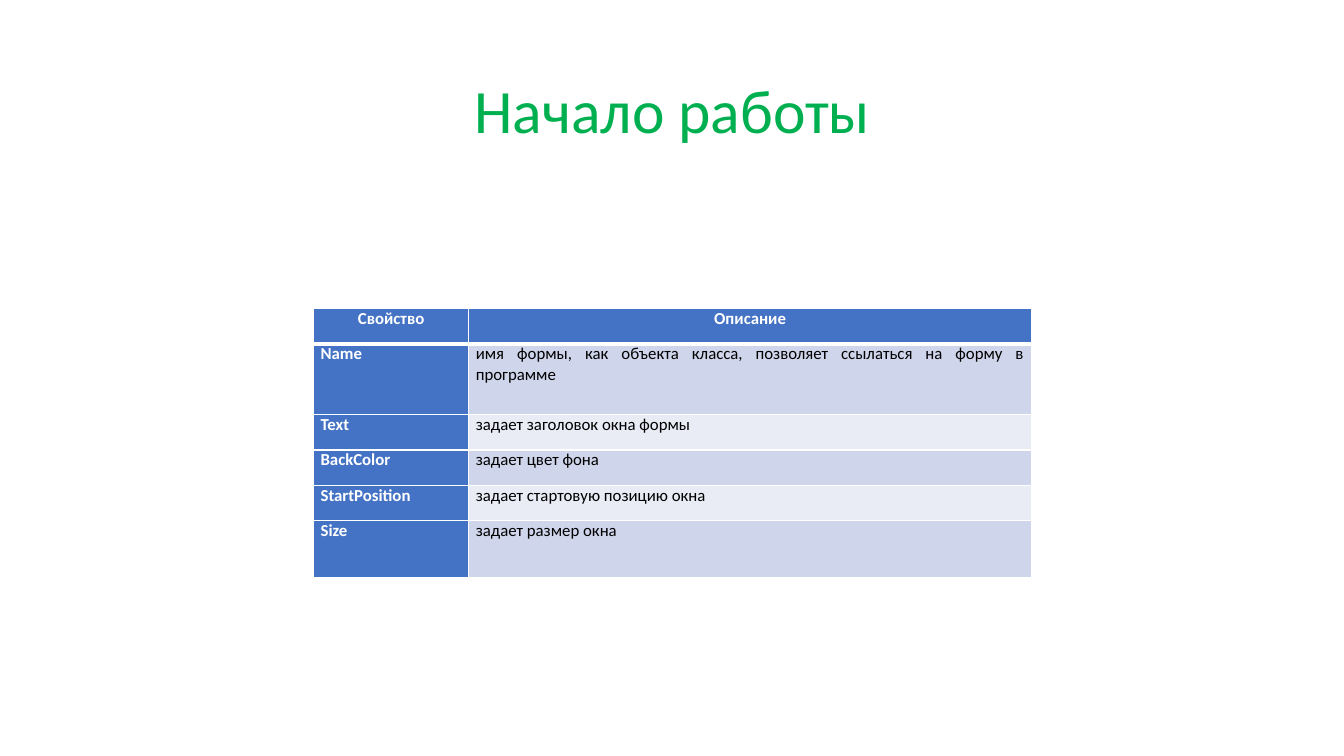
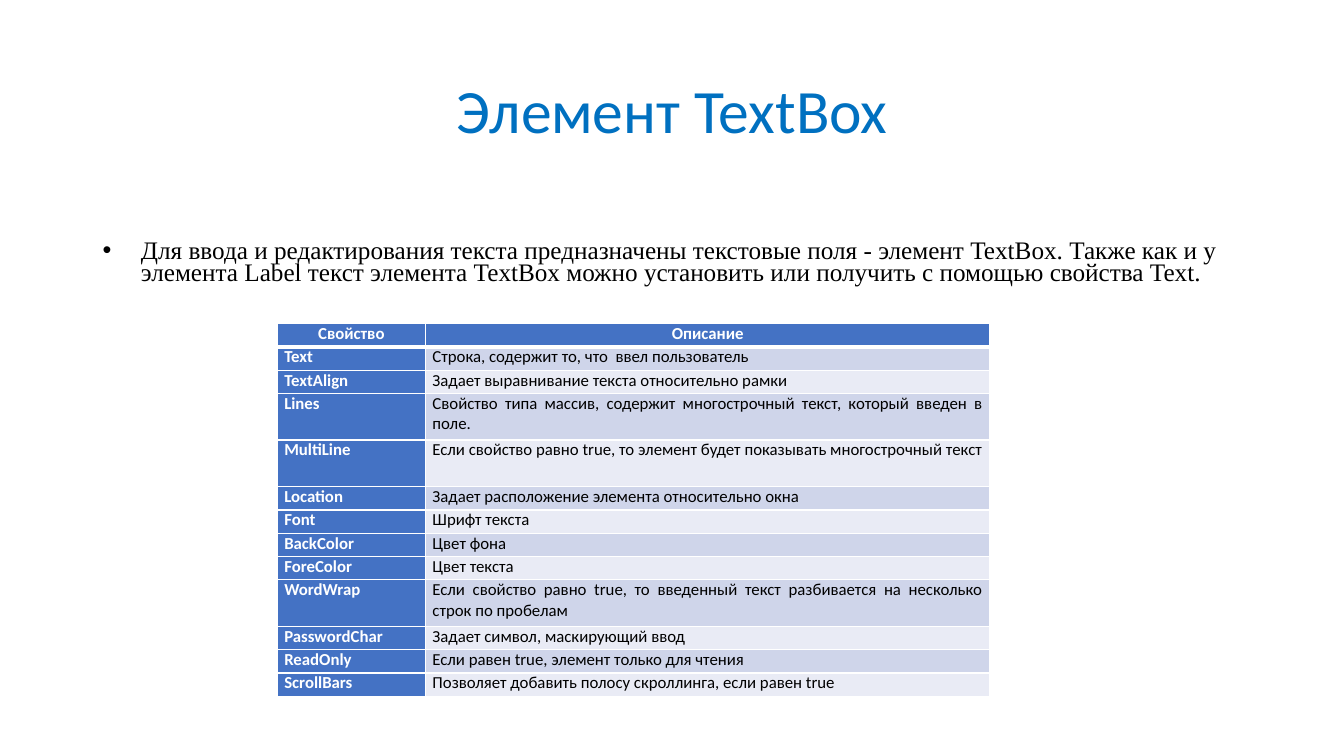
from dataclasses import dataclass

from lxml import etree
from pptx import Presentation
from pptx.dml.color import RGBColor
from pptx.enum import text
from pptx.oxml.ns import qn
from pptx.util import Inches, Pt


@dataclass(frozen=True)
class Theme:
    green: str = "00B050"
    blue: str = "0070C0"
    header: str = "4472C4"
    band_dark: str = "CFD5EA"
    band_light: str = "E9EBF5"
    white: str = "FFFFFF"
    black: str = "000000"
    font: str = "Calibri"
    body_font: str = "Times New Roman"
    title_size: int = 44
    body_size: int = 18
    table_size: int = 12


T = Theme()


def add_run(p, words, size, color, font=T.font, bold=False):
    r = p.add_run()
    r.text = words
    r.font.size = Pt(size)
    r.font.name = font
    r.font.bold = bold
    r.font.color.rgb = RGBColor.from_string(color)


def add_border(cell, side, width):
    ln = etree.SubElement(cell._tc.get_or_add_tcPr(), qn(f"a:ln{side}"), w=str(Pt(width)))
    fill = etree.SubElement(ln, qn("a:solidFill"))
    etree.SubElement(fill, qn("a:srgbClr"), val=T.white)


form_rows = [
    ("Свойство", "Описание", 1),
    ("Name", "имя формы, как объекта класса, позволяет ссылаться на форму в программе", 2),
    ("Text", "задает заголовок окна формы", 1),
    ("BackColor", "задает цвет фона", 1),
    ("StartPosition", "задает стартовую позицию окна", 1),
    ("Size", "задает размер окна", 1.6),
]
textbox_rows = [
    ("Свойство", "Описание", 1),
    ("Text", "Строка, содержит то, что  ввел пользователь", 1),
    ("TextAlign", "Задает выравнивание текста относительно рамки", 1),
    ("Lines", "Свойство типа массив, содержит многострочный текст, который введен в поле.", 2),
    ("MultiLine", "Если свойство равно true, то элемент будет показывать многострочный текст", 2),
    ("Location", "Задает расположение элемента относительно окна", 1),
    ("Font", "Шрифт текста", 1),
    ("BackColor", "Цвет фона", 1),
    ("ForeColor", "Цвет текста", 1),
    ("WordWrap", "Если свойство равно true, то введенный текст разбивается на несколько строк по пробелам", 2),
    ("PasswordChar", "Задает символ, маскирующий ввод", 1),
    ("ReadOnly", "Если равен true, элемент только для чтения", 1),
    ("ScrollBars", "Позволяет добавить полосу скроллинга, если равен true", 1),
]
textbox_intro = (
    "Для ввода и редактирования текста предназначены текстовые поля - элемент TextBox. "
    "Также как и у элемента Label текст элемента TextBox можно установить или получить "
    "с помощью свойства Text."
)
pages = [
    ("Начало работы", T.green, None, form_rows, (3.11, 3.06), (1.54, 5.58), 2.67),
    ("Элемент TextBox", T.blue, textbox_intro, textbox_rows, (2.75, 3.21), (1.47, 5.6), 3.7),
]

prs = Presentation()
prs.slide_width, prs.slide_height = Inches(13.33), Inches(7.5)

for heading, color, intro, rows, (left, top), widths, height in pages:
    s = prs.slides.add_slide(prs.slide_layouts[5])
    title = s.shapes.title
    title.left, title.top = Inches(0.92), Inches(0.4)
    title.width, title.height = Inches(11.5), Inches(1.45)
    tf = title.text_frame
    tf.vertical_anchor = text.MSO_ANCHOR.MIDDLE
    p = tf.paragraphs[0]
    p.alignment = text.PP_ALIGN.CENTER
    p.line_spacing = 0.9
    add_run(p, heading, T.title_size, color)

    if intro:
        sp = s.shapes.add_textbox(Inches(0.92), Inches(2.36), Inches(11.5), Inches(0.6))
        tf = sp.text_frame
        tf.word_wrap = True
        p = tf.paragraphs[0]
        p.line_spacing = Pt(15.6)
        pPr = p._p.get_or_add_pPr()
        pPr.set("marL", str(Inches(0.38)))
        pPr.set("indent", str(-Inches(0.38)))
        etree.SubElement(pPr, qn("a:buFont"), typeface="Arial")
        etree.SubElement(pPr, qn("a:buChar"), char="•")
        add_run(p, intro, T.body_size, T.black, T.body_font)

    table = s.shapes.add_table(
        len(rows), 2, Inches(left), Inches(top), Inches(sum(widths)), Inches(height)
    ).table
    for column, width in zip(table.columns, widths):
        column.width = Inches(width)
    unit = height / sum(row[2] for row in rows)

    for i, (*words, units) in enumerate(rows):
        table.rows[i].height = Inches(unit * units)
        for j, word in enumerate(words):
            cell = table.cell(i, j)
            strong = i == 0 or j == 0
            cell.margin_left = cell.margin_right = Inches(0.07)
            cell.margin_top = cell.margin_bottom = 0
            add_border(cell, "L", 1)
            add_border(cell, "R", 1)
            add_border(cell, "T", 3 if i == 1 else 1)
            add_border(cell, "B", 3 if i == 0 else 1)
            band = T.band_dark if i % 2 else T.band_light
            cell.fill.solid()
            cell.fill.fore_color.rgb = RGBColor.from_string(T.header if strong else band)
            p = cell.text_frame.paragraphs[0]
            p.alignment = text.PP_ALIGN.JUSTIFY if i else text.PP_ALIGN.CENTER
            add_run(p, word, T.table_size, T.white if strong else T.black, bold=strong)

prs.save("out.pptx")
